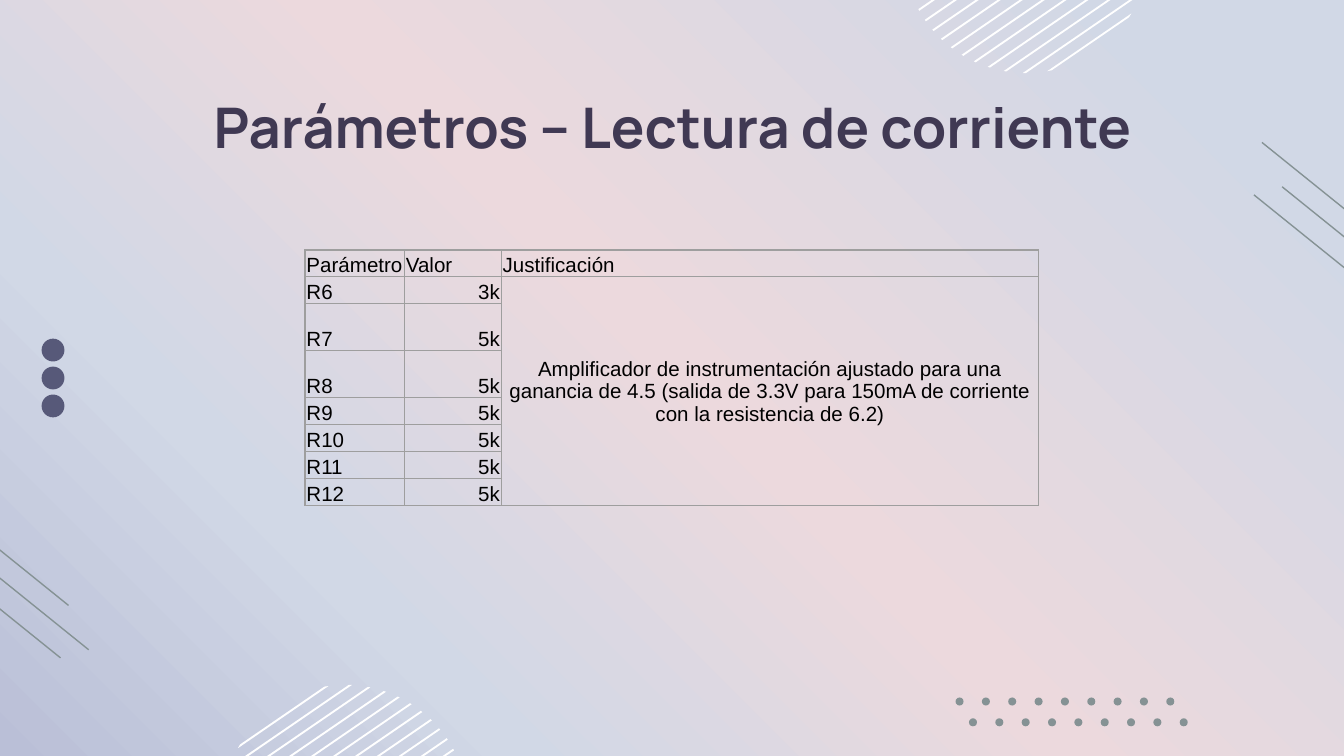
"""Builds the slide of current-reading parameters with its resistor table."""
from copy import deepcopy
from dataclasses import dataclass, field
from math import hypot, sqrt

from lxml import etree
from pptx import Presentation
from pptx import util as u
from pptx.dml.color import RGBColor
from pptx.enum import shapes, text
from pptx.oxml import ns

COLUMNS, ROWS = 100, 56.25
UNIT = u.Inches(10) / COLUMNS
ALIGN, ANCHOR = text.PP_ALIGN, text.MSO_ANCHOR

HEADINGS = ["Parámetro", "Valor", "Justificación"]
RESISTORS = {"R6": "3k", "R7": "5k", "R8": "5k", "R9": "5k", "R10": "5k", "R11": "5k", "R12": "5k"}
REASON = ("Amplificador de instrumentación ajustado para una ganancia de 4.5 "
          "(salida de 3.3V para 150mA de corriente con la resistencia de 6.2)")


@dataclass(frozen=True)
class Theme:
    """Holds the colours, fonts and line widths."""
    stripe: str = "FFFFFF"
    bullet: str = "575979"
    accent: str = "859294"
    border: str = "9E9E9E"
    line: float = 0.75
    sky: tuple = ((0, "D1D8E6"), (11, "D1D8E6"), (49, "ECD9DD"), (75, "D1D8E6"), (100, "BABFD7"))
    title: dict = field(default_factory=lambda: {
        "name": "Manrope", "size": u.Pt(30), "bold": True, "color": "403953"})
    body: dict = field(default_factory=lambda: {
        "name": "Arial", "size": u.Pt(11), "bold": False, "color": "000000"})


def grid(*lengths):
    """Turns grid columns or rows into slide lengths."""
    return [u.Emu(round(length * UNIT)) for length in lengths]


def apply(target, values):
    """Sets each attribute named in a dict of format values."""
    for name, value in values.items():
        if name == "color":
            target.color.rgb = RGBColor.from_string(value)
        else:
            setattr(target, name, value)


@dataclass
class Painter:
    """Draws styled elements on the current page."""
    theme: Theme
    page: object

    def background(self):
        """Fills the page with the diagonal gradient."""
        fill = self.page.background.fill
        fill.gradient()
        fill.gradient_angle = 225
        stops = self.page.element.xpath(".//a:gsLst")[0]
        while len(stops) < len(self.theme.sky):
            stops.append(deepcopy(stops[0]))
        for stop, (share, color) in zip(fill.gradient_stops, self.theme.sky):
            apply(stop, {"position": share / 100, "color": color})

    def paint(self, shape, color):
        """Gives a shape a plain fill without line or shadow."""
        shape.shadow.inherit = False
        shape.fill.solid()
        shape.fill.fore_color.rgb = RGBColor.from_string(color)
        shape.line.fill.background()

    def dot(self, column, row, size, color):
        """Draws a filled circle."""
        box = grid(column, row, size, size)
        self.paint(self.page.shapes.add_shape(shapes.MSO_SHAPE.OVAL, *box), color)

    def line(self, column, row, across, down):
        """Draws a thin straight line."""
        ends = grid(column, row, column + across, row + down)
        line = self.page.shapes.add_connector(shapes.MSO_CONNECTOR.STRAIGHT, *ends)
        apply(line.line, {"width": u.Pt(self.theme.line), "color": self.theme.accent})
        etree.SubElement(line.element.spPr, ns.qn("a:effectLst"))

    def hatched_circle(self, column, row, steps, radius=9.14, slope=0.686, gap=1.12, weight=0.17):
        """Draws slanted stripes cut to a circle."""
        def chord(drop):
            middle = drop / (1 + slope ** 2)
            half = sqrt(radius ** 2 - (drop / hypot(1, slope)) ** 2) / hypot(1, slope)
            return [grid(column + middle * slope + side * half, row + middle - side * slope * half)
                    for side in (-1, 1)]

        for step in steps:
            left, right = chord(step * gap)
            lower_left, lower_right = chord(step * gap + weight)
            outline = self.page.shapes.build_freeform(*left)
            outline.add_line_segments([right, lower_right, lower_left], close=True)
            self.paint(outline.convert_to_shape(), self.theme.stripe)

    def paragraph(self, frame, words, font, align):
        """Puts one formatted paragraph in a text frame."""
        para = frame.paragraphs[0]
        para.alignment = align
        span = para.add_run()
        span.text = words
        apply(span.font, font)

    def title(self, words, *box):
        """Moves and fills the title placeholder."""
        holder = self.page.shapes.title
        apply(holder, dict(zip(("left", "top", "width", "height"), grid(*box))))
        frame = holder.text_frame
        apply(frame, {"word_wrap": True, "auto_size": text.MSO_AUTO_SIZE.NONE,
                      "vertical_anchor": ANCHOR.TOP})
        apply(frame, {f"margin_{side}": u.Inches(0.1) for side in ("left", "right", "top", "bottom")})
        self.paragraph(frame, words, self.theme.title, ALIGN.CENTER)

    def cell(self, cell, words, align=ALIGN.LEFT, anchor=ANCHOR.BOTTOM):
        """Fills a table cell with text."""
        cell.vertical_anchor = anchor
        self.paragraph(cell.text_frame, words, self.theme.body, align)

    def frame_cell(self, cell):
        """Gives a cell thin borders, narrow margins and no fill."""
        edge = u.Inches(0.01)
        apply(cell, {"margin_left": edge, "margin_right": edge, "margin_top": edge, "margin_bottom": 0})
        cell.fill.background()
        for place, side in enumerate("LRTB"):
            border = etree.Element(ns.qn(f"a:ln{side}"), w=str(u.Pt(self.theme.line)))
            solid = etree.SubElement(border, ns.qn("a:solidFill"))
            etree.SubElement(solid, ns.qn("a:srgbClr"), val=self.theme.border)
            cell._tc.get_or_add_tcPr().insert(place, border)

    def table(self, column, row, widths, heights):
        """Draws the resistor table with its shared reason."""
        box = grid(column, row, sum(widths), sum(heights))
        table = self.page.shapes.add_table(len(heights), len(widths), *box).table
        apply(table, {"first_row": False, "horz_banding": False})
        for part, width in zip(table.columns, grid(*widths)):
            part.width = width
        for part, height in zip(table.rows, grid(*heights)):
            part.height = height
        for cell in table.iter_cells():
            self.frame_cell(cell)
        table.cell(1, 2).merge(table.cell(len(heights) - 1, 2))
        for place, heading in enumerate(HEADINGS):
            self.cell(table.cell(0, place), heading)
        for place, (name, value) in enumerate(RESISTORS.items(), 1):
            self.cell(table.cell(place, 0), name)
            self.cell(table.cell(place, 1), value, ALIGN.RIGHT)
        self.cell(table.cell(1, 2), REASON, ALIGN.CENTER, ANCHOR.MIDDLE)


def main():
    """Builds and saves the deck."""
    deck = Presentation()
    apply(deck, {"slide_width": u.Emu(round(COLUMNS * UNIT)), "slide_height": u.Emu(round(ROWS * UNIT))})
    theme = Theme()
    painter = Painter(theme, deck.slides.add_slide(deck.slide_layouts[5]))
    painter.background()
    painter.hatched_circle(25.7, 60.1, range(-9, 2))
    painter.hatched_circle(76.35, -3.7, range(-1, 10))
    for step in range(3):
        painter.dot(3.1, 25.2 + step * 2.08, 1.7, theme.bullet)
    for column, row in ((0, 0), (96.8, -28)):
        for across, down in ((-1.4, 41.9), (-3.5, 42.5), (-2.9, 38.6)):
            painter.line(column + across, row + down, 8, 6.45)
    for column, row in ((71.1, 51.9), (72.1, 53.45)):
        for step in range(9):
            painter.dot(column + step * 1.96, row, 0.6, theme.accent)
    painter.title("Parámetros – Lectura de corriente", 7.9, 5.9, 84.3, 5.2)
    painter.table(22.7, 18.6, [7.4, 7.2, 40], [2, 2, 3.5, 3.5, 2, 2, 2, 2])
    deck.save("out.pptx")


if __name__ == "__main__":
    main()
